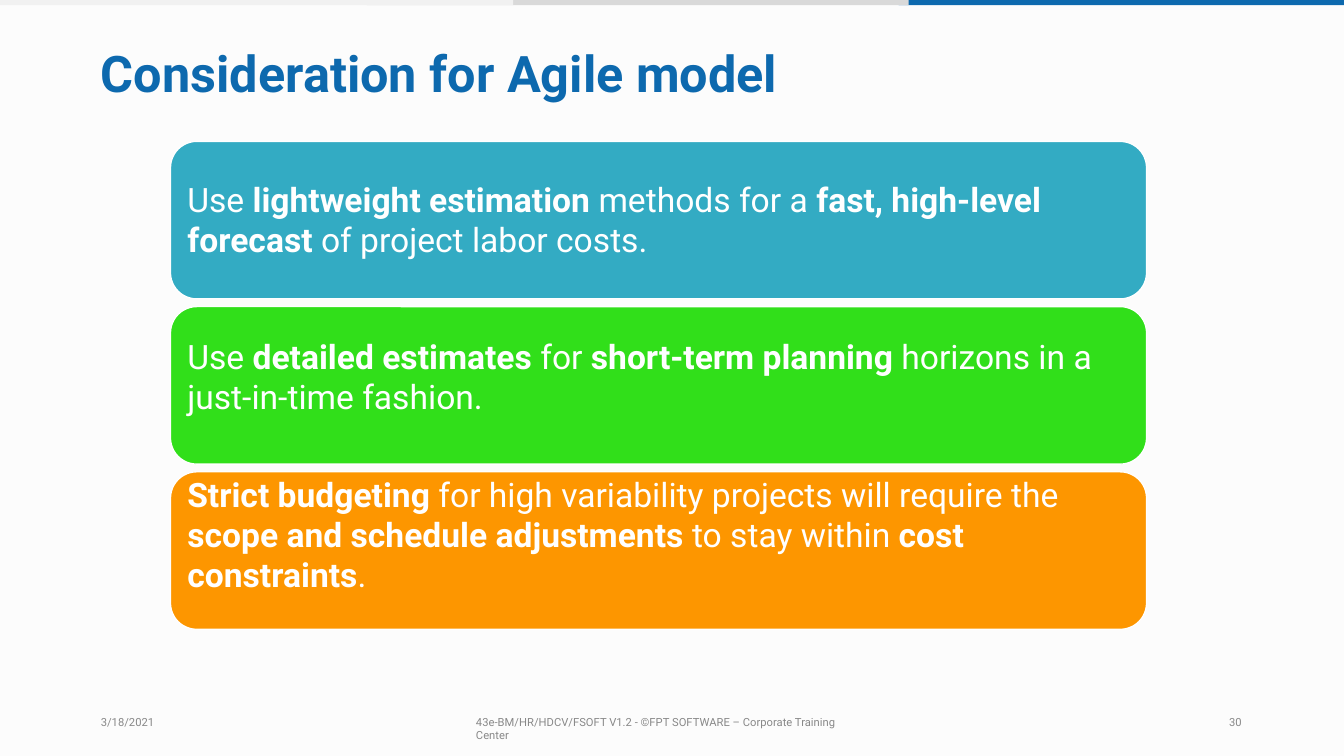
from pptx import Presentation
from pptx.dml.color import RGBColor
from pptx.enum.shapes import MSO_SHAPE as Shape
from pptx.enum.text import MSO_ANCHOR as Anchor, MSO_AUTO_SIZE as AutoSize, PP_ALIGN as Align
from pptx.util import Pt

FONT = "Roboto"
COLORS = {
    "background": "FCFCFC",
    "blue": "0D69AE",
    "grey": "D9D9D9",
    "light": "F1F1F1",
    "teal": "33ABC3",
    "green": "31DF1A",
    "orange": "FD9600",
    "white": "FFFFFF",
    "footer": "888888",
}

# left, width, colour; later stripes overlap earlier ones
STRIPES = [(642, 318, "blue"), (262, 387, "grey"), (0, 366.5, "light")]

# colour, space above the text, text with bold parts between asterisks
CONSIDERATIONS = [
    ("teal", 27, "Use *lightweight estimation* methods for a *fast, high-level forecast* "
                 "of project labor costs."),
    ("green", 21.5, "Use *detailed estimates* for *short-term planning* horizons in a "
                    "just-in-time fashion."),
    ("orange", 2, "*Strict budgeting* for high variability projects will require the "
                  "*scope and schedule adjustments* to stay within *cost constraints*."),
]
CARD_LEFT, CARD_TOP, CARD_WIDTH, CARD_HEIGHT, CARD_PITCH = 121.8, 101, 697.2, 112.5, 118

# left, width, text
FOOTERS = [
    (72, 60, "3/18/2021"),
    (340, 281, "43e-BM/HR/HDCV/FSOFT V1.2 - ©FPT SOFTWARE – Corporate Training Center"),
    (878, 30, "30"),
]


def rgb(name):
    return RGBColor.from_string(COLORS[name])


def style(font, size, color, bold=False):
    font.name = FONT
    font.size = Pt(size)
    font.bold = bold
    font.color.rgb = rgb(color)


def set_frame(frame, left=0, top=0, right=0):
    """Wrap text from the top of the frame, inside the given insets."""
    frame.word_wrap = True
    frame.auto_size = AutoSize.NONE
    frame.vertical_anchor = Anchor.TOP
    frame.margin_left, frame.margin_top = Pt(left), Pt(top)
    frame.margin_right, frame.margin_bottom = Pt(right), 0


def add_block(slide, kind, left, top, width, height, color):
    block = slide.shapes.add_shape(kind, Pt(left), Pt(top), Pt(width), Pt(height))
    block.shadow.inherit = False
    block.fill.solid()
    block.fill.fore_color.rgb = rgb(color)
    block.line.fill.background()
    return block


def set_title(slide, text):
    title = slide.shapes.title
    title.left, title.top, title.width, title.height = Pt(72), Pt(29), Pt(757), Pt(44)
    set_frame(title.text_frame, top=1)
    title.text_frame.text = text
    heading = title.text_frame.paragraphs[0]
    heading.alignment = Align.LEFT
    style(heading.runs[0].font, 36, "blue", bold=True)


def add_card(slide, top, color, text_top, text):
    card = add_block(slide, Shape.ROUNDED_RECTANGLE,
                     CARD_LEFT, top, CARD_WIDTH, CARD_HEIGHT, color)
    card.line.color.rgb = rgb("white")
    card.line.width = Pt(0.96)
    # The rounded shape insets its text area by itself
    corner = CARD_HEIGHT / 6 * 0.29
    set_frame(card.text_frame, 12 - corner, text_top - corner, 17 - corner)
    statement = card.text_frame.paragraphs[0]
    statement.alignment = Align.LEFT
    statement.line_spacing = Pt(28.5)
    for index, part in enumerate(text.split("*")):
        if part:
            run = statement.add_run()
            run.text = part
            style(run.font, 24, "white", bold=index % 2 == 1)


def add_footer(slide, left, width, text):
    footer = slide.shapes.add_textbox(Pt(left), Pt(508.3), Pt(width), Pt(22))
    set_frame(footer.text_frame, top=2.5)
    footer.text_frame.text = text
    style(footer.text_frame.paragraphs[0].runs[0].font, 8, "footer")


def main():
    deck = Presentation()
    deck.slide_width, deck.slide_height = Pt(960), Pt(540)
    slide = deck.slides.add_slide(deck.slide_layouts[5])
    slide.background.fill.solid()
    slide.background.fill.fore_color.rgb = rgb("background")

    for left, width, color in STRIPES:
        add_block(slide, Shape.RECTANGLE, left, 0, width, 3.8, color)
    set_title(slide, "Consideration for Agile model")
    for row, (color, text_top, text) in enumerate(CONSIDERATIONS):
        add_card(slide, CARD_TOP + row * CARD_PITCH, color, text_top, text)
    for left, width, text in FOOTERS:
        add_footer(slide, left, width, text)

    deck.save("out.pptx")


if __name__ == "__main__":
    main()
